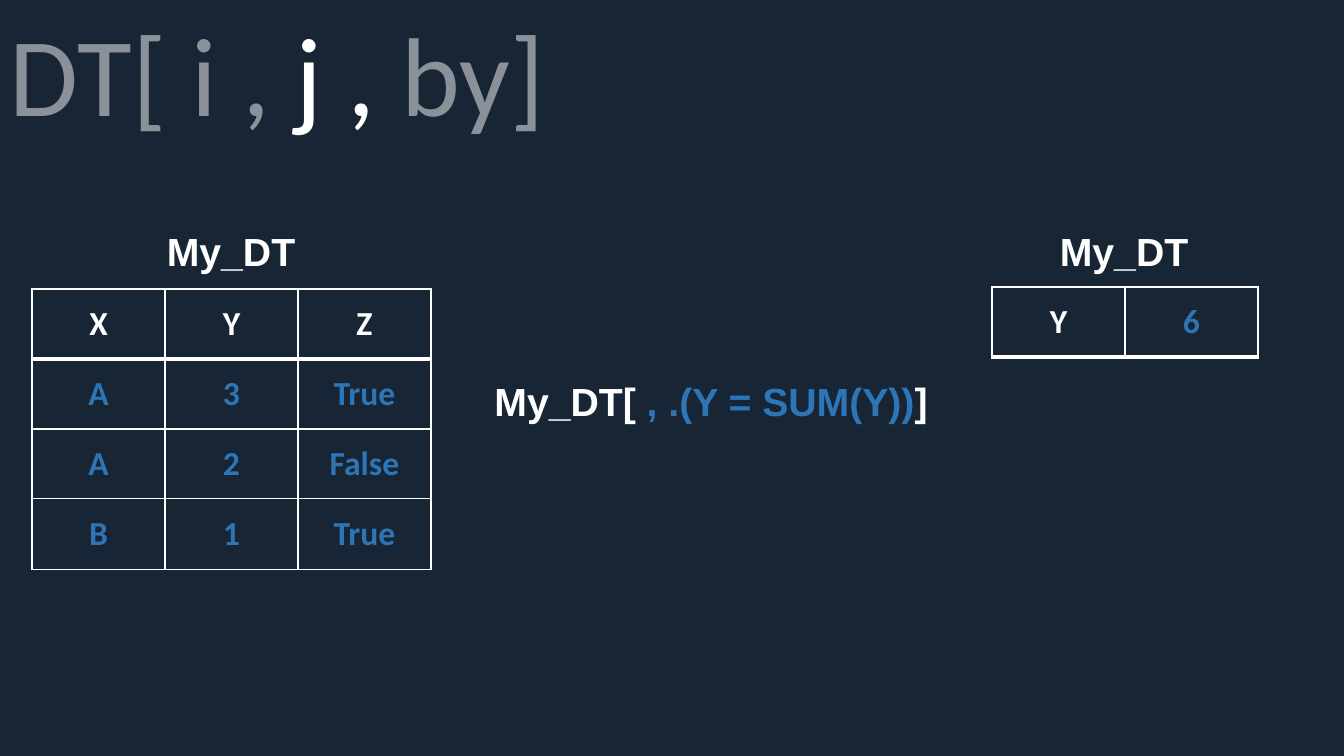
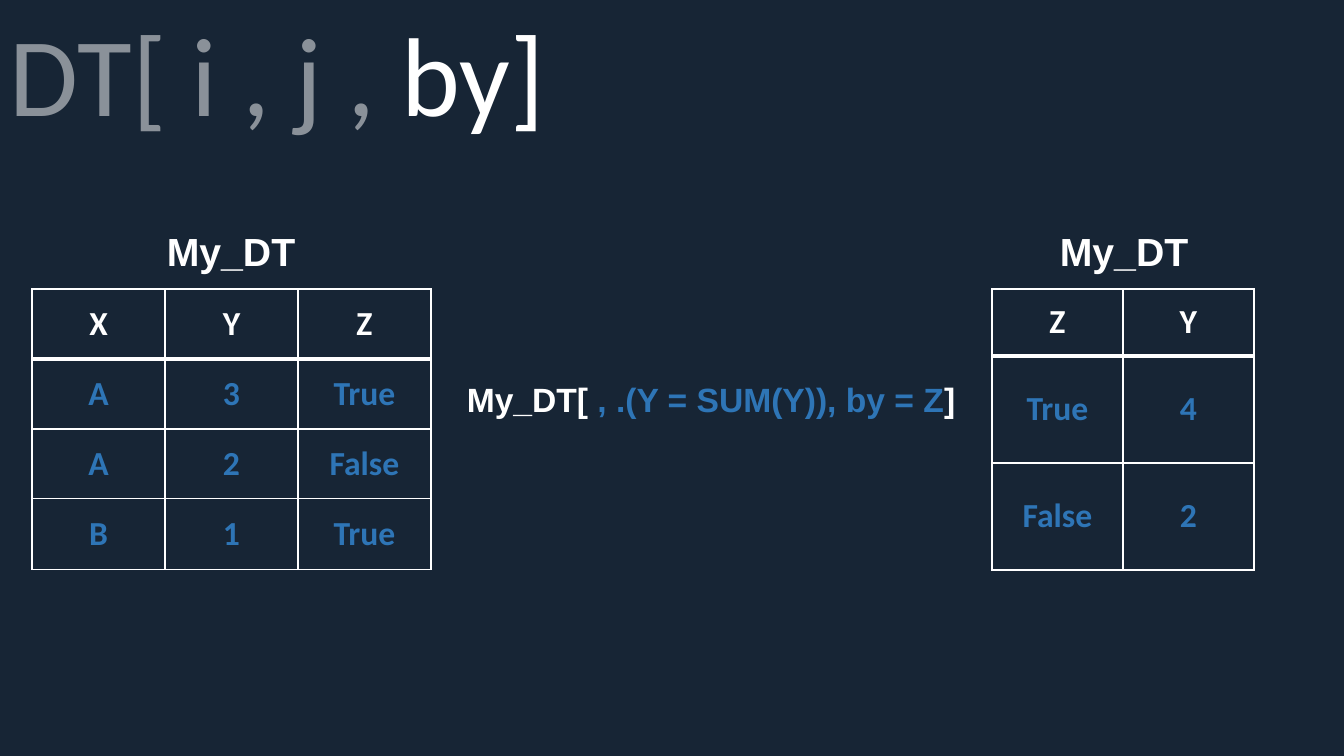
from dataclasses import dataclass

from lxml import etree
from pptx import Presentation
from pptx.dml.color import RGBColor
from pptx.enum.shapes import MSO_SHAPE
from pptx.enum.text import MSO_ANCHOR, PP_ALIGN
from pptx.oxml.ns import qn
from pptx.util import Emu, Pt

RECTANGLE = MSO_SHAPE.RECTANGLE
MIDDLE = MSO_ANCHOR.MIDDLE
CENTER = PP_ALIGN.CENTER

NAVY = RGBColor(0x17, 0x25, 0x35)
WHITE = RGBColor(0xFF, 0xFF, 0xFF)
BLUE = RGBColor(0x2E, 0x75, 0xB6)

HEADING_FONT = "Calibri"
CODE_FONT = "Arial"

PX_PER_INCH = 100.8
PAGE_WIDTH, PAGE_HEIGHT = 1344, 756
VEIL_HEIGHT = 154
VEIL_OPACITY = 50
CAPTION_TOP, CAPTION_WIDTH, LINE_HEIGHT = 227, 398, 47
EXPRESSION_LEFT, EXPRESSION_WIDTH = 432, 558
THIN, THICK = 1, 3


@dataclass(frozen=True)
class Span:
    text: str
    color: RGBColor = WHITE


@dataclass(frozen=True)
class Grid:
    left: int
    top: int
    column_width: int
    row_heights: tuple[int, ...]
    rows: tuple[tuple[Span, ...], ...]


@dataclass(frozen=True)
class Step:
    lit_from: int
    lit_to: int
    condition: str
    expression_top: int
    expression_size: int
    result: Grid


def header(*names: str) -> tuple[Span, ...]:
    return tuple(Span(name) for name in names)


def values(*entries: str) -> tuple[Span, ...]:
    return tuple(Span(entry, BLUE) for entry in entries)


SOURCE = Grid(32, 289, 133, (70, 70, 70, 71), (
    header("X", "Y", "Z"),
    values("A", "3", "True"),
    values("A", "2", "False"),
    values("B", "1", "True"),
))
TOTAL = Grid(992, 287, 133, (70,), (header("Y") + values("6"),))
GROUPED = Grid(992, 289, 131, (67, 107, 107), (
    header("Z", "Y"),
    values("True", "4"),
    values("False", "2"),
))
STEPS = (
    Step(276, 377, ", .(Y = SUM(Y))", 377, 28, TOTAL),
    Step(381, 541, ", .(Y = SUM(Y)), by = Z", 379, 24, GROUPED),
)


def px(length: int) -> Emu:
    return Emu(round(length * 914400 / PX_PER_INCH))


def style(run, font_name: str, size: int, color: RGBColor, bold: bool) -> None:
    run.font.name = font_name
    run.font.size = Pt(size)
    run.font.bold = bold
    run.font.color.rgb = color


def add_title(page) -> None:
    box = page.shapes.add_textbox(0, 0, px(PAGE_WIDTH), px(146))
    box.text_frame.word_wrap = True
    box.text_frame.text = "DT[ i , j , by]"
    style(box.text_frame.paragraphs[0].runs[0], HEADING_FONT, 80, WHITE, False)


def add_veil(page, left: int, right: int) -> None:
    veil = page.shapes.add_shape(
        RECTANGLE, px(left), 0, px(right - left), px(VEIL_HEIGHT))
    veil.shadow.inherit = False
    veil.line.fill.background()
    veil.fill.solid()
    veil.fill.fore_color.rgb = NAVY
    color = veil.fill._xPr.find(".//" + qn("a:srgbClr"))
    etree.SubElement(color, qn("a:alpha"), val=str(VEIL_OPACITY * 1000))


def add_code(page, left: int, top: int, width: int, size: int,
             spans: tuple[Span, ...]) -> None:
    box = page.shapes.add_textbox(px(left), px(top), px(width), px(LINE_HEIGHT))
    frame = box.text_frame
    frame.word_wrap = True
    frame.margin_left = frame.margin_right = 0
    frame.margin_top = frame.margin_bottom = 0
    para = frame.paragraphs[0]
    para.alignment = CENTER
    for span in spans:
        run = para.add_run()
        run.text = span.text
        style(run, CODE_FONT, size, span.color, True)


def add_borders(cell, top: int, bottom: int) -> None:
    properties = cell._tc.get_or_add_tcPr()
    for edge, width in (("L", THIN), ("R", THIN), ("T", top), ("B", bottom)):
        line = etree.SubElement(
            properties, qn(f"a:ln{edge}"), w=str(Pt(width)))
        fill = etree.SubElement(line, qn("a:solidFill"))
        etree.SubElement(fill, qn("a:srgbClr"), val=str(WHITE))


def add_grid(page, grid: Grid) -> None:
    column_count = len(grid.rows[0])
    table = page.shapes.add_table(
        len(grid.rows), column_count, px(grid.left), px(grid.top),
        px(grid.column_width * column_count), px(sum(grid.row_heights))).table
    table.first_row = False
    table.horz_banding = False
    for column in table.columns:
        column.width = px(grid.column_width)
    for index, (height, spans) in enumerate(zip(grid.row_heights, grid.rows)):
        table.rows[index].height = px(height)
        top = THICK if index == 1 else THIN
        bottom = THICK if index == 0 else THIN
        for cell, span in zip(table.rows[index].cells, spans):
            add_borders(cell, top, bottom)
            cell.fill.background()
            cell.vertical_anchor = MIDDLE
            cell.text_frame.text = span.text
            para = cell.text_frame.paragraphs[0]
            para.alignment = CENTER
            style(para.runs[0], HEADING_FONT, 24, span.color, True)


def add_step(deck, step: Step) -> None:
    page = deck.slides.add_slide(deck.slide_layouts[6])
    page.background.fill.solid()
    page.background.fill.fore_color.rgb = NAVY
    for grid, caption_left in ((SOURCE, 32), (step.result, 925)):
        add_grid(page, grid)
        add_code(page, caption_left, CAPTION_TOP, CAPTION_WIDTH, 28,
                 (Span("My_DT"),))
    add_code(page, EXPRESSION_LEFT, step.expression_top, EXPRESSION_WIDTH,
             step.expression_size,
             (Span("My_DT[ "), Span(step.condition, BLUE), Span("]")))
    add_title(page)
    add_veil(page, 0, step.lit_from)
    add_veil(page, step.lit_to, PAGE_WIDTH)


def main() -> None:
    deck = Presentation()
    deck.slide_width = px(PAGE_WIDTH)
    deck.slide_height = px(PAGE_HEIGHT)
    for step in STEPS:
        add_step(deck, step)
    deck.save("out.pptx")


if __name__ == "__main__":
    main()
